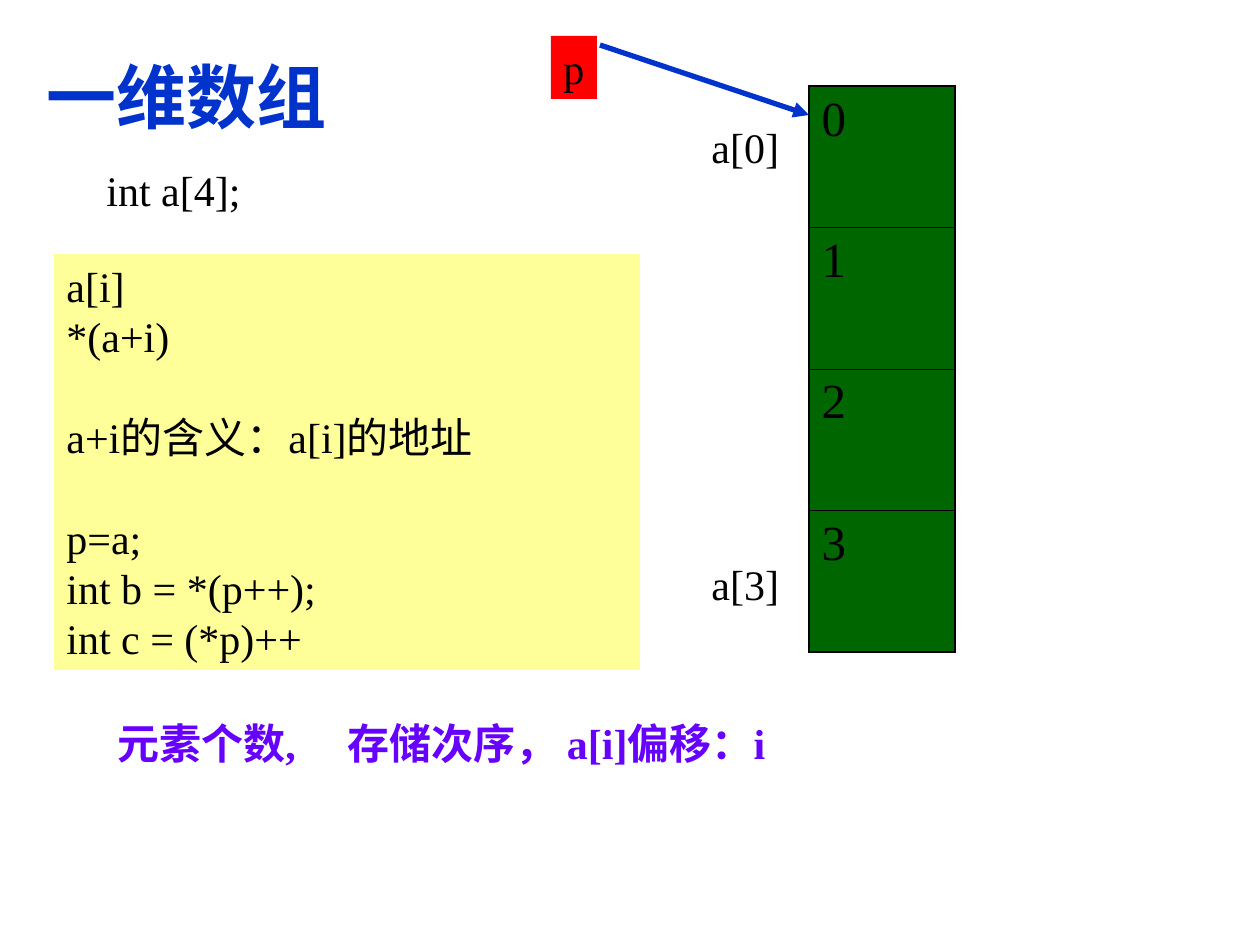
"""Build a slide on one-dimensional arrays and pointer access."""
from dataclasses import dataclass

from lxml import etree
from pptx import Presentation
from pptx import util as u
from pptx.dml.color import RGBColor
from pptx.enum import shapes, text
from pptx.oxml.ns import qn


@dataclass(frozen=True)
class Theme:
    font: str = "Times New Roman"
    blue: str = "0033CC"
    black: str = "000000"
    violet: str = "6600FF"
    green: str = "006600"
    yellow: str = "FFFF99"
    red: str = "FF0000"
    title: int = 40
    body: int = 24
    cell: int = 28
    leading: float = 28.8
    outer: float = 1.08
    inner: float = 0.45
    arrow: int = 3


THEME = Theme()
TITLE = ("一维数组", (34, 16, 1071, 158))
LABELS = [
    ("int a[4];", (94, 158, 160, 63)),
    ("a[0]", (699, 115, 94, 63)),
    ("a[3]", (699, 552, 94, 63)),
]
CODE_GROUPS = [
    ["a[i]", "*(a+i)"],
    ["a+i的含义：a[i]的地址"],
    ["p=a;", "int b = *(p++);", "int c = (*p)++"],
]
CODE_AREA = (54, 254, 586, 416)
SUMMARY = ("元素个数,\t存储次序， a[i]偏移：i", (105, 711, 781, 63))
SUMMARY_TAB = 230
ELEMENTS = ["0", "1", "2", "3"]
ARRAY_AREA = (809, 86, 146, 566)
POINTER = ("p", (551, 36, 46, 63))
ARROW = (600, 45, 809, 115)


def px(length):
    return u.Emu(round(length * 914400 / 126))


def scaled(lengths):
    return [px(length) for length in lengths]


def paint(target, color):
    target.fill.solid()
    target.fill.fore_color.rgb = RGBColor.from_string(color)


def write(para, words, size, color, bold=False):
    para.alignment = text.PP_ALIGN.LEFT
    span = para.add_run()
    span.text = words
    span.font.name = THEME.font
    span.font.size = u.Pt(size)
    span.font.bold = bold
    span.font.color.rgb = RGBColor.from_string(color)


def write_body(para, words, color=THEME.black, bold=False):
    para.line_spacing = u.Pt(THEME.leading)
    write(para, words, THEME.body, color, bold)


def add_label(page, words, area, wrap=False, color=THEME.black, bold=False):
    box = page.shapes.add_textbox(*scaled(area))
    box.text_frame.word_wrap = wrap
    box.text_frame.auto_size = text.MSO_AUTO_SIZE.SHAPE_TO_FIT_TEXT
    para = box.text_frame.paragraphs[0]
    write_body(para, words, color, bold)
    return box, para


def add_title(page):
    words, area = TITLE
    box = page.shapes.title
    box.left, box.top, box.width, box.height = scaled(area)
    box.text_frame.vertical_anchor = text.MSO_ANCHOR.MIDDLE
    write(box.text_frame.paragraphs[0], words, THEME.title, THEME.blue, True)


def add_summary(page):
    para = add_label(page, *SUMMARY, wrap=True, color=THEME.violet, bold=True)[1]
    tabs = etree.SubElement(para._p.get_or_add_pPr(), qn("a:tabLst"))
    etree.SubElement(tabs, qn("a:tab"), pos=str(px(SUMMARY_TAB)), algn="l")


def add_code(page):
    box = page.shapes.add_shape(shapes.MSO_SHAPE.RECTANGLE, *scaled(CODE_AREA))
    box.shadow.inherit = False
    paint(box, THEME.yellow)
    box.line.fill.background()
    frame = box.text_frame
    frame.word_wrap = True
    frame.vertical_anchor = text.MSO_ANCHOR.TOP
    for group, lines in enumerate(CODE_GROUPS):
        for row, words in enumerate(lines):
            first = group == row == 0
            para = frame.paragraphs[0] if first else frame.add_paragraph()
            if group and row == 0:
                para.space_before = u.Pt(THEME.leading)
            write_body(para, words)


def set_border(cell, side, width):
    line = etree.SubElement(cell._tc.get_or_add_tcPr(), qn(f"a:ln{side}"), w=str(u.Pt(width)))
    fill = etree.SubElement(line, qn("a:solidFill"))
    etree.SubElement(fill, qn("a:srgbClr"), val=THEME.black)


def add_array(page):
    table = page.shapes.add_table(len(ELEMENTS), 1, *scaled(ARRAY_AREA)).table
    table.first_row = table.horz_banding = False
    last = len(ELEMENTS) - 1
    for row, words in enumerate(ELEMENTS):
        cell = table.cell(row, 0)
        widths = {
            "L": THEME.outer,
            "R": THEME.outer,
            "T": THEME.outer if row == 0 else THEME.inner,
            "B": THEME.outer if row == last else THEME.inner,
        }
        for side, width in widths.items():
            set_border(cell, side, width)
        paint(cell, THEME.green)
        write(cell.text_frame.paragraphs[0], words, THEME.cell, THEME.black)


def add_arrow(page):
    arrow = page.shapes.add_connector(shapes.MSO_CONNECTOR.STRAIGHT, *scaled(ARROW))
    arrow.line.color.rgb = RGBColor.from_string(THEME.blue)
    arrow.line.width = u.Pt(THEME.arrow)
    etree.SubElement(arrow.line._get_or_add_ln(), qn("a:tailEnd"), type="triangle")
    etree.SubElement(arrow._element.spPr, qn("a:effectLst"))


def main():
    deck = Presentation()
    deck.slide_width, deck.slide_height = scaled((1260, 945))
    page = deck.slides.add_slide(deck.slide_layouts.get_by_name("Title Only"))
    add_title(page)
    for words, area in LABELS:
        add_label(page, words, area)
    add_summary(page)
    add_array(page)
    add_code(page)
    add_arrow(page)
    pointer = add_label(page, *POINTER)[0]
    paint(pointer, THEME.red)
    deck.save("out.pptx")


if __name__ == "__main__":
    main()
